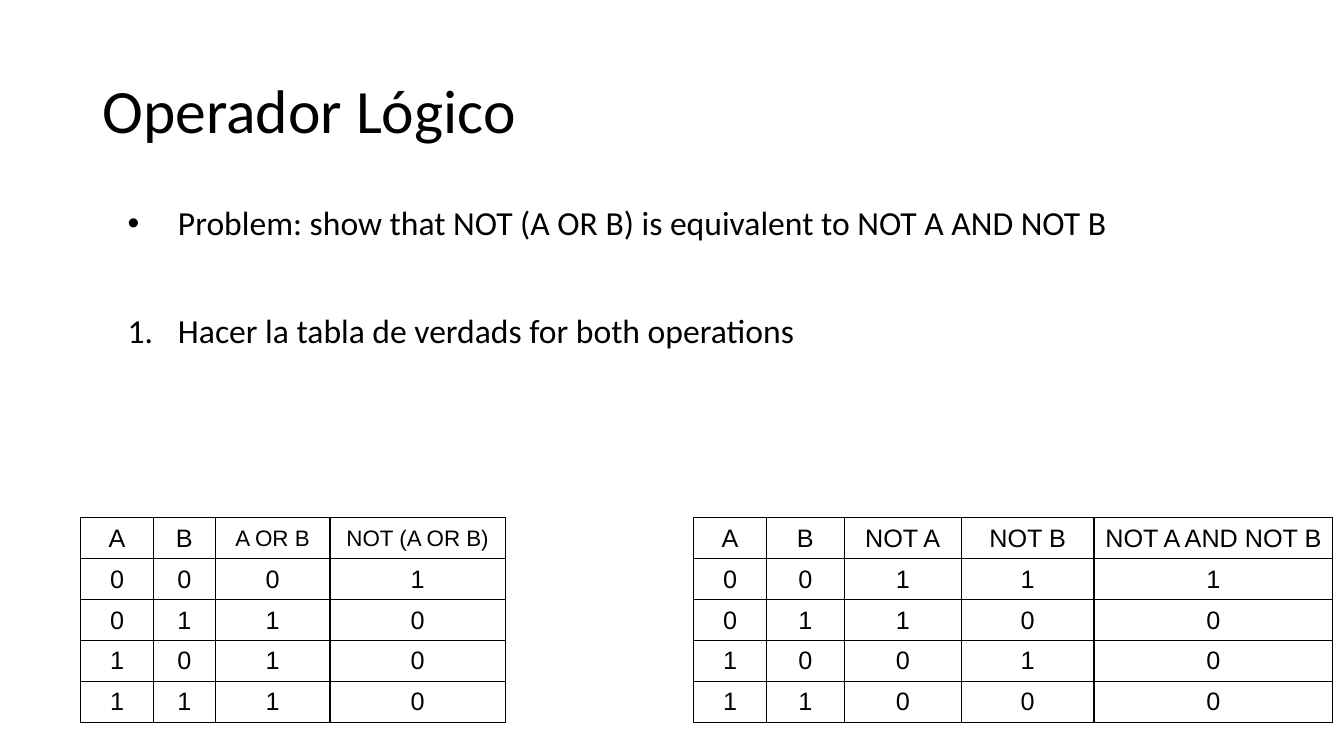
import itertools
from dataclasses import dataclass
from typing import Callable

import pptx
import pptx.dml.color
import pptx.enum.text
import pptx.oxml.ns
import pptx.util
from lxml import etree

WIDTH = pptx.util.Inches(13.33)
HEIGHT = pptx.util.Inches(7.5)
BLACK = "000000"
WHITE = "FFFFFF"
MIDDLE = pptx.enum.text.MSO_ANCHOR.MIDDLE
TOP = pptx.enum.text.MSO_ANCHOR.TOP


@dataclass
class Item:
    text: str
    bullet: str
    attributes: dict[str, str]
    space_before: float = 0


@dataclass
class Column:
    header: str
    width: float
    value: Callable[[int, int], int]
    header_size: int = 18


@dataclass
class TruthTable:
    left: float
    columns: list[Column]


ITEMS = [
    Item("Problem: show that NOT (A OR B) is equivalent to NOT A AND NOT B",
         "a:buChar", {"char": "•"}),
    Item("Hacer la tabla de verdads for both operations",
         "a:buAutoNum", {"type": "arabicPeriod"}, 51),
]

TABLES = [
    TruthTable(51.6, [
        Column("A", 5.43, lambda a, b: a),
        Column("B", 5.78, lambda a, b: b),
        Column("NOT A", 8.72, lambda a, b: 1 - a),
        Column("NOT B", 9.87, lambda a, b: 1 - b),
        Column("NOT A AND NOT B", 17.78, lambda a, b: (1 - a) & (1 - b)),
    ]),
    TruthTable(6, [
        Column("A", 5.43, lambda a, b: a),
        Column("B", 4.58, lambda a, b: b),
        Column("A OR B", 8.55, lambda a, b: a | b, 16),
        Column("NOT (A OR B)", 13.05, lambda a, b: 1 - (a | b), 16),
    ]),
]


def across(percent: float) -> int:
    return round(WIDTH * percent / 100)


def down(percent: float) -> int:
    return round(HEIGHT * percent / 100)


def color(value: str) -> pptx.dml.color.RGBColor:
    return pptx.dml.color.RGBColor.from_string(value)


def child(parent, tag: str, **attributes: str):
    return etree.SubElement(parent, pptx.oxml.ns.qn(tag), attributes)


def add_run(p, text: str, size: float, font: str) -> None:
    r = p.add_run()
    r.text = text
    r.font.size = pptx.util.Pt(size)
    r.font.name = font
    r.font.color.rgb = color(BLACK)


def add_text_frame(slide, top: float, height: float, anchor):
    sp = slide.shapes.add_textbox(across(6.88), down(top), across(86.25), down(height))
    tf = sp.text_frame
    tf.word_wrap = True
    tf.vertical_anchor = anchor
    return tf


def add_title(slide, text: str) -> None:
    p = add_text_frame(slide, 5.33, 19.33, MIDDLE).paragraphs[0]
    p.line_spacing = 0.9
    add_run(p, text, 44, "Calibri")


def add_items(slide, items: list[Item]) -> None:
    tf = add_text_frame(slide, 26.67, 68, TOP)
    for i, item in enumerate(items):
        p = tf.add_paragraph() if i else tf.paragraphs[0]
        properties = p._p.get_or_add_pPr()
        properties.set("marL", str(pptx.util.Inches(0.75)))
        properties.set("indent", str(pptx.util.Inches(-0.5)))
        if item.bullet == "a:buChar":
            child(properties, "a:buFont", typeface="Arial")
        child(properties, item.bullet, **item.attributes)
        p.line_spacing = 0.9
        if item.space_before:
            p.space_before = pptx.util.Pt(item.space_before)
        add_run(p, item.text, 24, "Calibri")


def fill_cell(cell, text: str, size: float) -> None:
    cell.vertical_anchor = MIDDLE
    cell.margin_left = cell.margin_right = pptx.util.Inches(0.05)
    properties = cell._tc.get_or_add_tcPr()
    for side in ("a:lnL", "a:lnR", "a:lnT", "a:lnB"):
        line = child(properties, side, w=str(pptx.util.Pt(1)))
        child(child(line, "a:solidFill"), "a:srgbClr", val=BLACK)
    cell.fill.solid()
    cell.fill.fore_color.rgb = color(WHITE)
    p = cell.text_frame.paragraphs[0]
    p.alignment = pptx.enum.text.PP_ALIGN.CENTER
    add_run(p, text, size, "Arial")


def add_truth_table(slide, truth: TruthTable) -> None:
    inputs = list(itertools.product((0, 1), repeat=2))
    row_count = len(inputs) + 1
    total = sum(column.width for column in truth.columns)
    table = slide.shapes.add_table(
        row_count, len(truth.columns), across(truth.left), down(68.5),
        across(total), down(5.42 * row_count)).table
    table.first_row = False
    table.horz_banding = False
    for i, column in enumerate(truth.columns):
        table.columns[i].width = across(column.width)
        fill_cell(table.cell(0, i), column.header, column.header_size)
        for j, (a, b) in enumerate(inputs, 1):
            fill_cell(table.cell(j, i), str(column.value(a, b)), 18)


def main() -> None:
    prs = pptx.Presentation()
    prs.slide_width = WIDTH
    prs.slide_height = HEIGHT
    slide = prs.slides.add_slide(prs.slide_layouts[6])
    add_title(slide, "Operador Lógico")
    add_items(slide, ITEMS)
    for truth in TABLES:
        add_truth_table(slide, truth)
    prs.save("out.pptx")


if __name__ == "__main__":
    main()
